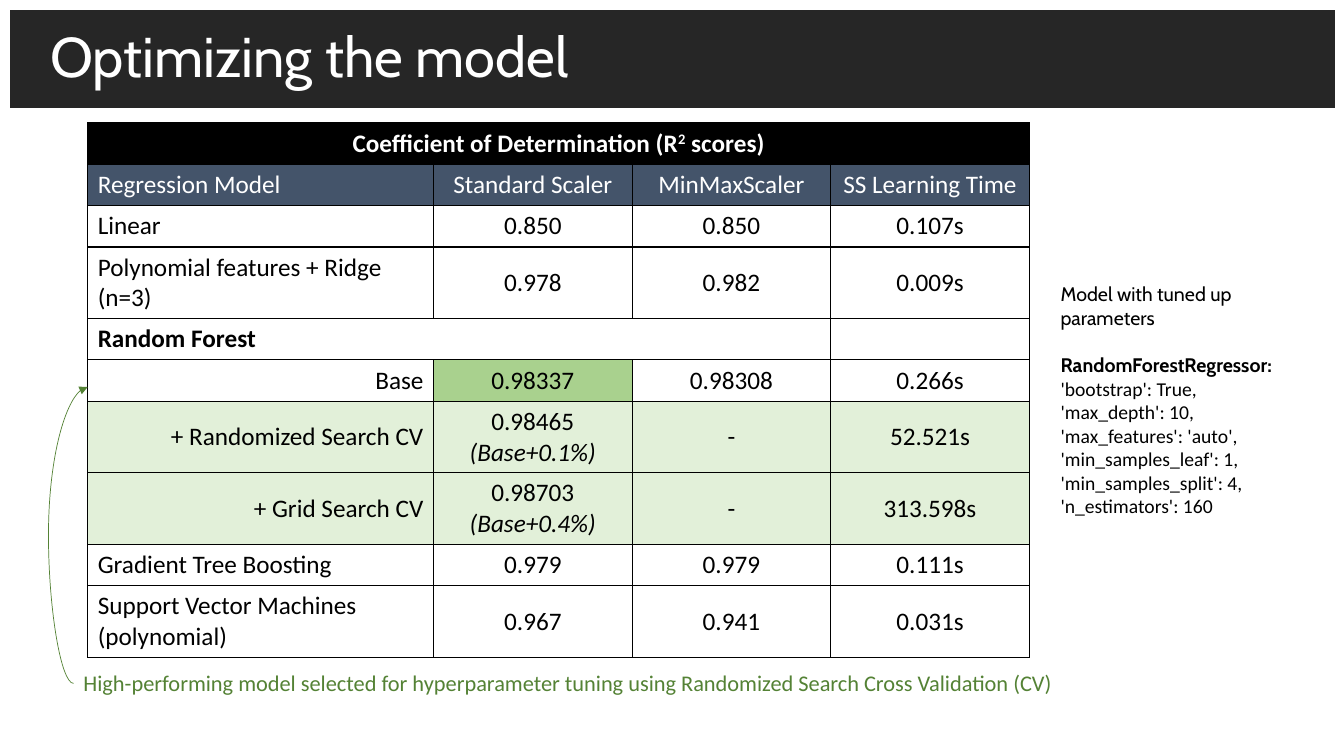
from dataclasses import dataclass
from typing import Optional

from lxml.etree import SubElement
from pptx import Presentation
from pptx.dml.color import RGBColor
from pptx.enum.shapes import MSO_CONNECTOR
from pptx.enum.text import MSO_ANCHOR, MSO_AUTO_SIZE, PP_ALIGN
from pptx.oxml.ns import qn
from pptx.util import Inches, Pt

BLACK, WHITE, GREEN = "000000", "FFFFFF", "548235"
SLATE, PALE_GREEN, BEST_GREEN = "44546A", "E2F0D9", "A9D18E"
COLUMN_WIDTHS = [3.43, 1.97, 1.97, 1.97]
ROW_HEIGHT = 0.41


@dataclass
class Row:
    texts: list[str]
    fill: str = WHITE
    color: str = BLACK
    bold: bool = False
    first_align: PP_ALIGN = PP_ALIGN.LEFT
    span: int = 1
    note: str = ""
    score_fill: Optional[str] = None


@dataclass
class Line:
    text: str
    font: str = "Calibri"
    bold: bool = False
    space_before: int = 0


ROWS = [
    Row(["Coefficient of Determination (R"], BLACK, WHITE, True, PP_ALIGN.CENTER, span=4),
    Row(["Regression Model", "Standard Scaler", "MinMaxScaler", "SS Learning Time"], SLATE, WHITE),
    Row(["Linear", "0.850", "0.850", "0.107s"]),
    Row(["Polynomial features + Ridge (n=3)", "0.978", "0.982", "0.009s"]),
    Row(["Random Forest"], bold=True, span=3),
    Row(["Base", "0.98337", "0.98308", "0.266s"], first_align=PP_ALIGN.RIGHT,
        score_fill=BEST_GREEN),
    Row(["+ Randomized Search CV", "0.98465 ", "-", "52.521s"], PALE_GREEN,
        first_align=PP_ALIGN.RIGHT, note="(Base+0.1%)"),
    Row(["+ Grid Search CV", "0.98703 ", "-", "313.598s"], PALE_GREEN,
        first_align=PP_ALIGN.RIGHT, note="(Base+0.4%)"),
    Row(["Gradient Tree Boosting", "0.979", "0.979", "0.111s"]),
    Row(["Support Vector Machines (polynomial)", "0.967", "0.941", "0.031s"]),
]

PARAMETER_LINES = [
    Line("Model with tuned up parameters", "Cabin"),
    Line("RandomForestRegressor:", "Cabin", True, 17),
    Line("'bootstrap': True,"),
    Line("'max_depth': 10,"),
    Line("'max_features': 'auto', 'min_samples_leaf': 1, 'min_samples_split': 4, 'n_estimators': 160"),
]


def rgb(value: str) -> RGBColor:
    return RGBColor.from_string(value)


def style_font(font, size: float, color: str, name: str = "Calibri", bold: bool = False) -> None:
    font.size, font.name, font.bold = Pt(size), name, bold
    font.color.rgb = rgb(color)


def add_borders(cell) -> None:
    """Draw a thin black line on all four sides; borders come before the fill in the XML."""
    properties = cell._tc.get_or_add_tcPr()
    for index, side in enumerate(("a:lnL", "a:lnR", "a:lnT", "a:lnB")):
        border = SubElement(properties, qn(side), w=str(Pt(1)))
        SubElement(SubElement(border, qn("a:solidFill")), qn("a:srgbClr"), val=BLACK)
        properties.insert(index, border)


def add_title(slide) -> None:
    title = slide.shapes.title
    title.left, title.top, title.width, title.height = map(Inches, (0.1, 0.1, 13.14, 0.97))
    title.fill.solid()
    title.fill.fore_color.rgb = rgb("262626")
    frame = title.text_frame
    frame.text = "Optimizing the model"
    frame.auto_size = MSO_AUTO_SIZE.NONE
    frame.vertical_anchor = MSO_ANCHOR.MIDDLE
    frame.margin_left = Inches(0.4)
    para = frame.paragraphs[0]
    para.alignment, para.line_spacing = PP_ALIGN.LEFT, 0.9
    style_font(para.runs[0].font, 40, WHITE, "Cabin")


def fill_row(table, row_index: int, row: Row) -> None:
    if row.span > 1:
        table.cell(row_index, 0).merge(table.cell(row_index, row.span - 1))
    for column in range(len(COLUMN_WIDTHS)):
        cell = table.cell(row_index, column)
        cell.fill.solid()
        is_score = column == 1 and row.score_fill
        cell.fill.fore_color.rgb = rgb(row.score_fill if is_score else row.fill)
        cell.vertical_anchor = MSO_ANCHOR.MIDDLE
        add_borders(cell)
        para = cell.text_frame.paragraphs[0]
        para.alignment = PP_ALIGN.CENTER if column else row.first_align
        if column < len(row.texts):
            para.text = row.texts[column]
        if column == 1 and row.note:
            para.add_run().text = row.note
            para.runs[-1].font.italic = True
        for run in para.runs:
            style_font(run.font, 18, row.color, bold=row.bold)


def add_score_table(slide) -> None:
    table = slide.shapes.add_table(
        len(ROWS), len(COLUMN_WIDTHS), Inches(0.87), Inches(1.22),
        Inches(sum(COLUMN_WIDTHS)), Inches(ROW_HEIGHT * len(ROWS))).table
    table.horz_banding = table.first_row = False
    for column, width in zip(table.columns, COLUMN_WIDTHS):
        column.width = Inches(width)
    for index, row in enumerate(ROWS):
        table.rows[index].height = Inches(ROW_HEIGHT)
        fill_row(table, index, row)
    heading = table.cell(0, 0).text_frame.paragraphs[0]
    for text in ("2", " scores)"):
        span = heading.add_run()
        span.text = text
        style_font(span.font, 18, WHITE, bold=True)
    heading.runs[1]._r.get_or_add_rPr().set("baseline", "30000")


def add_text(slide, left: float, top: float, width: float, height: float,
             lines: list[Line], size: float, color: str, wrap: bool) -> None:
    box = slide.shapes.add_textbox(*map(Inches, (left, top, width, height)))
    frame = box.text_frame
    frame.word_wrap = wrap
    frame.text = "\n".join(line.text for line in lines)
    for para, line in zip(frame.paragraphs, lines):
        para.space_before = Pt(line.space_before)
        style_font(para.runs[0].font, size, color, line.font, line.bold)


def add_curved_arrow(slide) -> None:
    """Lead from the caption to the base Random Forest row, bulging to the left."""
    arrow = slide.shapes.add_connector(
        MSO_CONNECTOR.CURVE, *map(Inches, (0.73, 6.78, 0.87, 3.84)))
    arrow.line.color.rgb = rgb(GREEN)
    arrow.line.width = Pt(0.5)
    SubElement(arrow.line._get_or_add_ln(), qn("a:tailEnd"), type="triangle")
    properties = arrow._element.spPr
    SubElement(properties, qn("a:effectLst"))
    adjustments = properties.find(qn("a:prstGeom")).get_or_add_avLst()
    SubElement(adjustments, qn("a:gd"), name="adj1", fmla="val -177800")


def main() -> None:
    deck = Presentation()
    deck.slide_width, deck.slide_height = Inches(13.33), Inches(7.5)
    page = deck.slides.add_slide(deck.slide_layouts[5])
    add_title(page)
    add_score_table(page)
    caption = Line("High-performing model selected for hyperparameter tuning "
                   "using Randomized Search Cross Validation (CV)")
    add_text(page, 0.73, 6.59, 9.93, 0.37, [caption], 16, GREEN, wrap=False)
    add_text(page, 10.42, 2.75, 2.82, 2.46, PARAMETER_LINES, 14, BLACK, wrap=True)
    add_curved_arrow(page)
    deck.save("out.pptx")


if __name__ == "__main__":
    main()
